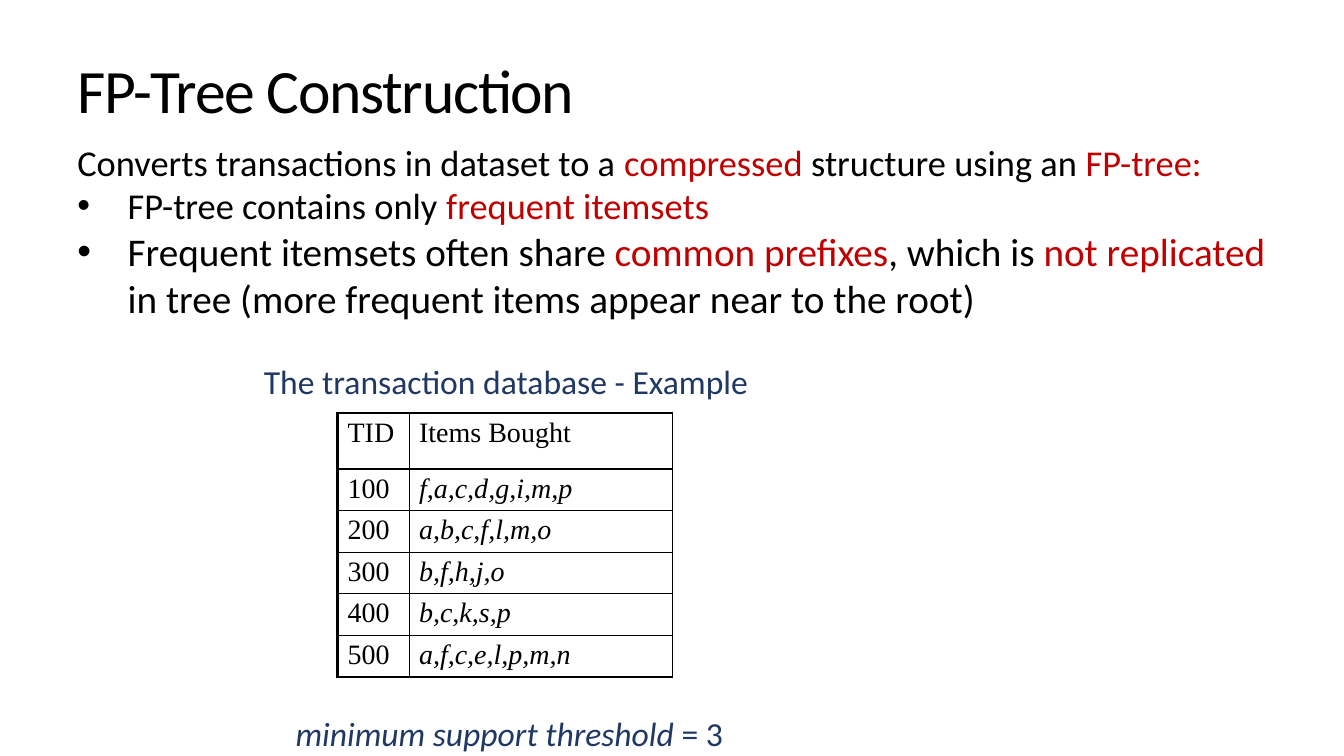
from lxml.etree import SubElement
from pptx import Presentation
from pptx.dml.color import RGBColor
from pptx.enum.text import MSO_ANCHOR as Anchor
from pptx.oxml.ns import qn
from pptx.util import Cm, Pt

COLORS = {"text": "000000", "accent": "C00000", "caption": "203864"}
TRANSACTIONS = [
    ("100", "f,a,c,d,g,i,m,p"),
    ("200", "a,b,c,f,l,m,o"),
    ("300", "b,f,h,j,o"),
    ("400", "b,c,k,s,p"),
    ("500", "a,f,c,e,l,p,m,n"),
]


def add_run(p, text, size=24, color="text", font="Calibri", italic=False, spacing=None):
    r = p.add_run()
    r.text = text
    r.font.name = font
    r.font.size = Pt(size)
    r.font.italic = italic
    r.font.color.rgb = RGBColor.from_string(COLORS[color])
    if spacing is not None:
        r.font._element.set("spc", str(round(spacing * 100)))


def add_box(slide, left, top, width, height, anchor=Anchor.TOP):
    sp = slide.shapes.add_textbox(Cm(left), Cm(top), Cm(width), Cm(height))
    tf = sp.text_frame
    tf.word_wrap = True
    tf.vertical_anchor = anchor
    return tf


def set_bullet(p, indent):
    pPr = p._p.get_or_add_pPr()
    pPr.set("marL", str(Cm(indent)))
    pPr.set("indent", str(-Cm(indent)))
    SubElement(pPr, qn("a:buFont"), typeface="Arial")
    SubElement(pPr, qn("a:buChar"), char="•")


def add_summary(slide):
    tf = add_box(slide, 1.7, 3.4, 31.04, 4.88)
    # Each line: size, bulleted or not, and its (text, color) pieces
    lines = [
        (26, False, [("Converts transactions in dataset to a ", "text"),
                     ("compressed", "accent"),
                     (" structure using an ", "text"),
                     ("FP-tree:", "accent")]),
        (26, True, [("FP-tree contains only ", "text"),
                    ("frequent itemsets", "accent")]),
        (28, True, [("Frequent itemsets often share ", "text"),
                    ("common prefixes", "accent"),
                    (", which is ", "text"),
                    ("not replicated ", "accent"),
                    ("in tree (more frequent items appear near to the root)", "text")]),
    ]
    for i, (size, bulleted, pieces) in enumerate(lines):
        p = tf.add_paragraph() if i else tf.paragraphs[0]
        if bulleted:
            set_bullet(p, 1.27)
        for text, color in pieces:
            add_run(p, text, size=size, color=color)


def set_borders(cell, **widths):
    tcPr = cell._tc.get_or_add_tcPr()
    for i, side in enumerate(("L", "R", "T", "B")):
        ln = tcPr.makeelement(qn(f"a:ln{side}"), w=str(Pt(widths.get(side, 1))))
        fill = SubElement(ln, qn("a:solidFill"))
        SubElement(fill, qn("a:srgbClr"), val=COLORS["text"])
        tcPr.insert(i, ln)


def add_transactions(slide):
    rows = [("TID", "Items Bought")] + TRANSACTIONS
    frame = slide.shapes.add_table(len(rows), 2, Cm(8.51), Cm(10.41), Cm(8.43), Cm(6.56))
    table = frame.table
    table.first_row = table.horz_banding = False
    for col, width in zip(table.columns, (1.8, 6.63)):
        col.width = Cm(width)
    for i, values in enumerate(rows):
        table.rows[i].height = Cm(1.03 if i else 1.41)
        for j, text in enumerate(values):
            cell = table.cell(i, j)
            cell.fill.background()
            cell.margin_left = cell.margin_right = Cm(0.25)
            cell.margin_top = cell.margin_bottom = Cm(0.1)
            add_run(cell.text_frame.paragraphs[0], text, size=20,
                    font="Times New Roman", italic=i > 0 and j == 1)
            set_borders(cell, L=1 if j else 2.25, T=1 if i else 2.25,
                        B=2.25 if i == len(rows) - 1 else 1)


def main():
    prs = Presentation()
    prs.slide_width, prs.slide_height = Cm(33.87), Cm(19.05)
    slide = prs.slides.add_slide(prs.slide_layouts[6])

    # Title
    p = add_box(slide, 1.7, 0.76, 30.48, 3.18, Anchor.MIDDLE).paragraphs[0]
    p.line_spacing = 0.9
    add_run(p, "FP-Tree Construction", size=44, spacing=-0.9)

    add_summary(slide)

    # Table with its caption and threshold
    p = add_box(slide, 6.4, 9.09, 23.37, 1.1).paragraphs[0]
    p.line_spacing = 0.9
    add_run(p, "The transaction database - Example", color="caption")
    add_transactions(slide)
    p = add_box(slide, 7.2, 17.95, 22.57, 1.1).paragraphs[0]
    p.line_spacing = 0.9
    add_run(p, "minimum support threshold", color="caption", italic=True)
    add_run(p, " = 3", color="caption")

    prs.save("out.pptx")


if __name__ == "__main__":
    main()
